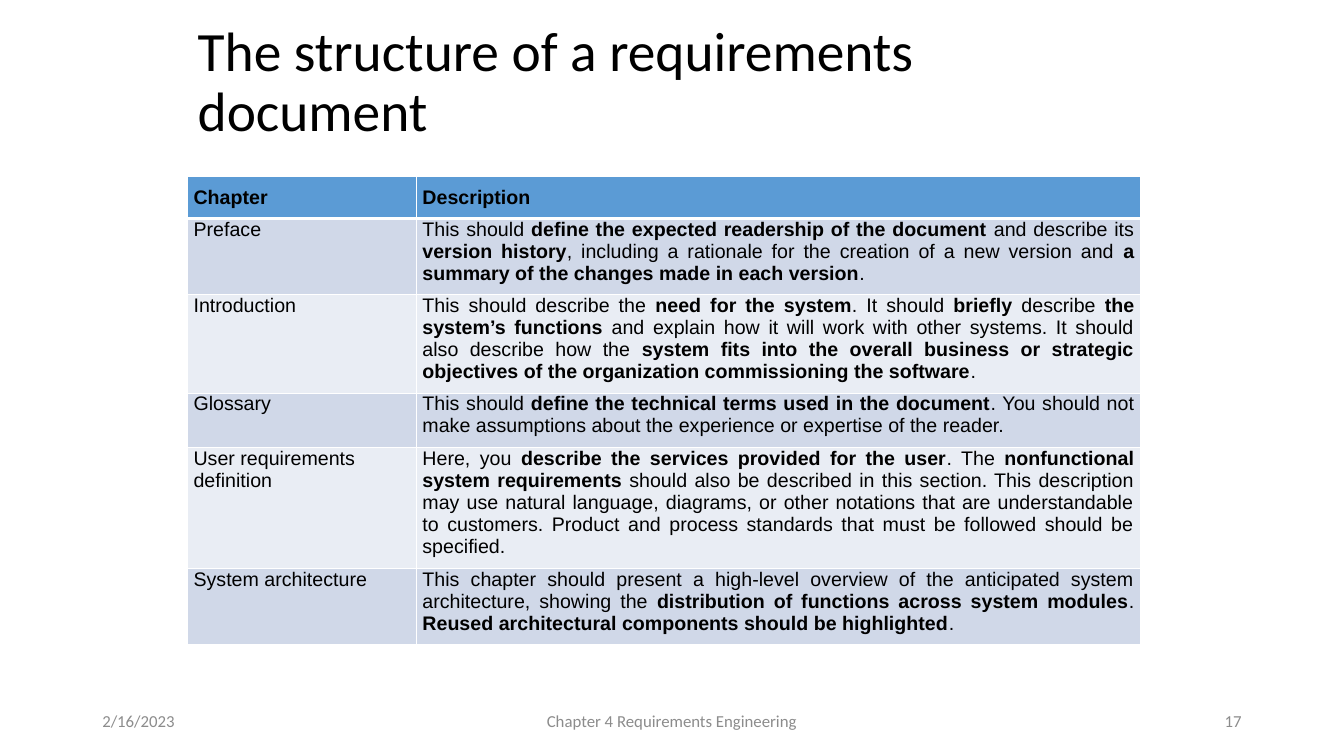
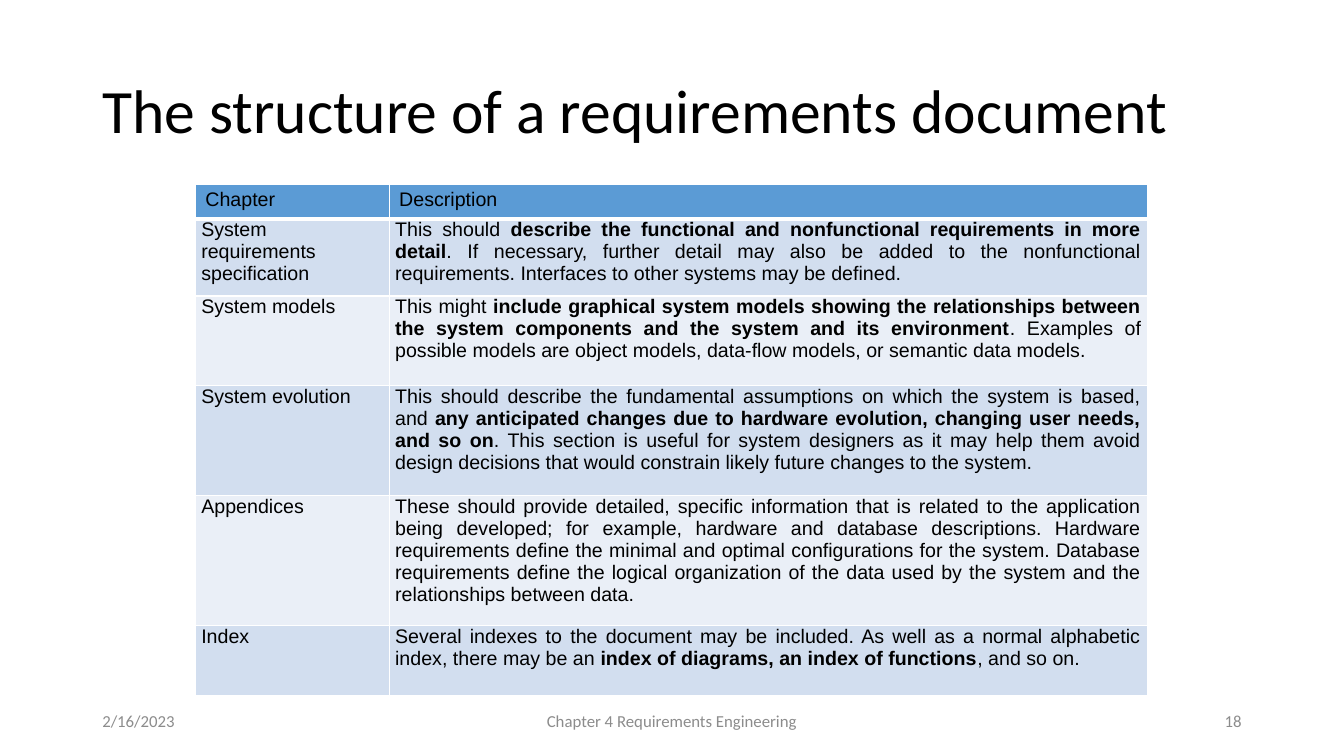
from dataclasses import dataclass

from lxml import etree
from pptx import Presentation
from pptx.dml.color import RGBColor
from pptx.enum import text as t
from pptx.oxml import ns
from pptx.util import Pt


@dataclass(frozen=True)
class Theme:
    ink: str = "000000"
    grey: str = "8C8C8C"
    line: str = "FFFFFF"
    head: str = "5B9BD5"
    face: str = "Calibri"
    body: str = "Arial"
    cell: float = 14
    foot: float = 12


TH = Theme()
LEFT, MID, RIGHT, JUST = (t.PP_ALIGN.LEFT, t.PP_ALIGN.CENTER,
                          t.PP_ALIGN.RIGHT, t.PP_ALIGN.JUSTIFY)
TITLE = "The structure of a requirements document"
HEAD = ("Chapter", "Description")


def write(para, words, face, size, color, align=LEFT, bold=False):
    """Add words run by run; parts between asterisks are bold."""
    para.alignment = align
    for i, part in enumerate(words.split("*")):
        if part:
            run = para.add_run()
            run.text = part
            run.font.name, run.font.size = face, Pt(size)
            run.font.bold = bold or i % 2 == 1
            run.font.color.rgb = RGBColor.from_string(color)


def add_title(slide, box, size):
    title = slide.shapes.title
    title.left, title.top, title.width, title.height = map(Pt, box)
    frame = title.text_frame
    frame.auto_size = t.MSO_AUTO_SIZE.NONE
    frame.word_wrap = True
    frame.vertical_anchor = t.MSO_ANCHOR.MIDDLE
    para = frame.paragraphs[0]
    para.line_spacing = 0.9
    write(para, TITLE, TH.face, size, TH.ink)


def add_footer(slide, number, box=(66, 500.5, 828, 29)):
    left, top, wide, high = box
    side, mid = 216, 324
    parts = (
        ("2/16/2023", left, side, LEFT),
        ("Chapter 4 Requirements Engineering", left + (wide - mid) / 2, mid, MID),
        (str(number), left + wide - side, side, RIGHT),
    )
    for words, x, w, align in parts:
        frame = slide.shapes.add_textbox(Pt(x), Pt(top), Pt(w), Pt(high)).text_frame
        frame.word_wrap = True
        frame.vertical_anchor = t.MSO_ANCHOR.MIDDLE
        write(frame.paragraphs[0], words, TH.face, TH.foot, TH.grey, align)


def set_edges(cell, top, bottom):
    """Draw the four borders; they must come before the fill."""
    props = cell._tc.get_or_add_tcPr()
    edges = (("L", 1), ("R", 1), ("T", top), ("B", bottom))
    for i, (side, width) in enumerate(edges):
        edge = etree.Element(ns.qn("a:ln" + side), w=str(Pt(width)))
        fill = etree.SubElement(edge, ns.qn("a:solidFill"))
        etree.SubElement(fill, ns.qn("a:srgbClr"), val=TH.line)
        props.insert(i, edge)


def set_pad(cell, pad):
    (cell.margin_left, cell.margin_top,
     cell.margin_right, cell.margin_bottom) = map(Pt, pad)


def add_table(slide, spot, cols, highs, rows, bands, pad, bold, rule):
    """Header row in the theme colour, then rows in two alternating bands."""
    left, top = spot
    table = slide.shapes.add_table(
        len(highs), len(cols), Pt(left), Pt(top), Pt(sum(cols)), Pt(sum(highs))).table
    table.first_row = table.horz_banding = False
    for col, wide in zip(table.columns, cols):
        col.width = Pt(wide)
    for r, (words, high) in enumerate(zip((HEAD, *rows), highs)):
        table.rows[r].height = Pt(high)
        for c, word in enumerate(words):
            cell = table.cell(r, c)
            cell.fill.solid()
            color = bands[(r - 1) % 2] if r else TH.head
            cell.fill.fore_color.rgb = RGBColor.from_string(color)
            set_edges(cell, rule if r == 1 else 1, 1 if r else 3)
            set_pad(cell, (4.3, 0, 4.3, 7.2) if r else pad)
            align = JUST if r and c else LEFT
            write(cell.text_frame.paragraphs[0], word, TH.body, TH.cell,
                  TH.ink, align, bold and r == 0)


# Chapters of the document, by slide
FRONT = (
    ("Preface",
     "This should *define the expected readership of the document *and describe its "
     "*version history*, including a rationale for the creation of a new version and "
     "*a summary of the changes made in each version*."),
    ("Introduction",
     "This should describe the *need for the system*. It should *briefly* describe "
     "*the system’s functions *and explain how it will work with other systems. It "
     "should also describe how the *system fits into the overall business or strategic "
     "objectives of the organization commissioning the software*."),
    ("Glossary",
     "This should *define the technical terms used in the document*. You should not "
     "make assumptions about the experience or expertise of the reader."),
    ("User requirements definition",
     "Here, you *describe the services provided for the user*. The *nonfunctional "
     "system requirements *should also be described in this section. This description "
     "may use natural language, diagrams, or other notations that are understandable "
     "to customers. Product and process standards that must be followed should be "
     "specified."),
    ("System architecture",
     "This chapter should present a high-level overview of the anticipated system "
     "architecture, showing the *distribution of functions across system modules*. "
     "*Reused architectural components should be highlighted*."),
)
BACK = (
    ("System requirements specification",
     "This should *describe the functional and nonfunctional requirements in more "
     "detail*. If necessary, further detail may also be added to the nonfunctional "
     "requirements. Interfaces to other systems may be defined."),
    ("System models",
     "This might *include graphical system models showing the relationships between "
     "the system components and the system and its environment*. Examples of possible "
     "models are object models, data-flow models, or semantic data models."),
    ("System evolution",
     "This should describe the fundamental assumptions on which the system is based, "
     "and *any anticipated changes due to hardware evolution, changing user needs, and "
     "so on*. This section is useful for system designers as it may help them avoid "
     "design decisions that would constrain likely future changes to the system."),
    ("Appendices",
     "These should provide detailed, specific information that is related to the "
     "application being developed; for example, hardware and database descriptions. "
     "Hardware requirements define the minimal and optimal configurations for the "
     "system. Database requirements define the logical organization of the data used "
     "by the system and the relationships between data."),
    ("Index",
     "Several indexes to the document may be included. As well as a normal alphabetic "
     "index, there may be an *index of diagrams, an index of functions*, and so on."),
)


def add_page(deck, number, box, size, **grid):
    slide = deck.slides.add_slide(deck.slide_layouts[5])
    add_title(slide, box, size)
    add_table(slide, **grid)
    add_footer(slide, number)


def main():
    deck = Presentation()
    deck.slide_width, deck.slide_height = Pt(960), Pt(540)
    add_page(deck, 17, (134, 16.5, 580, 86), 39.6,
             spot=(134, 126), cols=(163.5, 517),
             highs=(29, 54.5, 70, 38.5, 86.5, 54.5), rows=FRONT,
             bands=("D0D8E8", "E9EDF4"), pad=(4.3, 7.2, 4.3, 7.2),
             bold=True, rule=3)
    add_page(deck, 18, (66, 28.75, 828, 104.5), 44,
             spot=(139.5, 131.5), cols=(138.5, 541.5),
             highs=(25, 55, 64, 78.5, 93, 50), rows=BACK,
             bands=("D2DEEF", "EAEFF7"), pad=(7.2, 3.6, 7.2, 3.6),
             bold=False, rule=1)
    deck.save("out.pptx")


if __name__ == "__main__":
    main()
